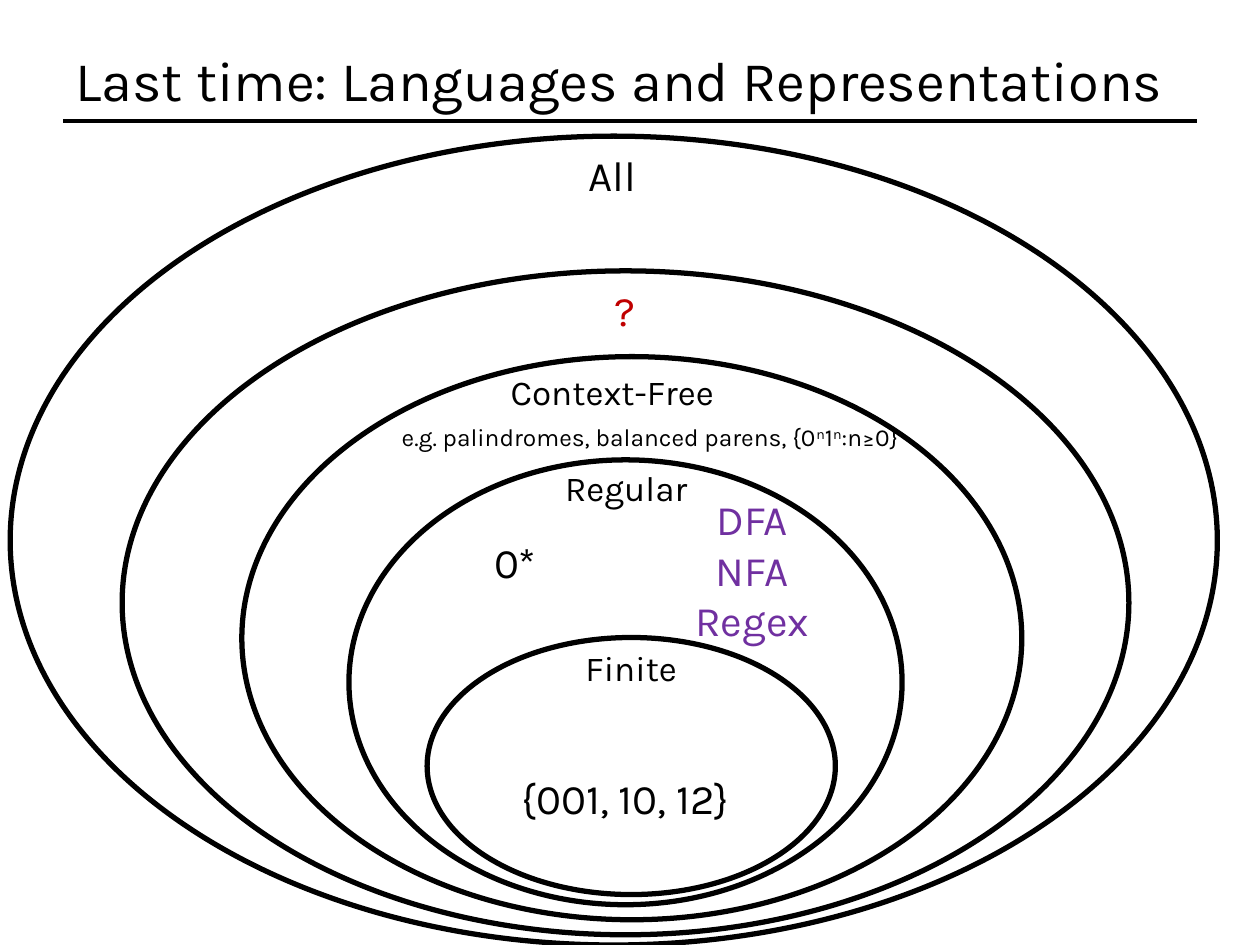
from pptx import Presentation
from pptx.dml.color import RGBColor
from pptx.enum.shapes import MSO_CONNECTOR as Connector, MSO_SHAPE as Shape
from pptx.enum.text import MSO_ANCHOR as Anchor, PP_ALIGN as Align
from pptx.oxml.ns import qn
from pptx.util import Pt
from lxml.etree import SubElement

BLACK, RED, PURPLE = "000000", "C00000", "7030A0"
FONT = "Karla"

LANGUAGE_CLASSES = [
    (5.8, 77.8, 689.8, 462.2),
    (69.8, 154.8, 575.3, 379.4),
    (138.2, 203.8, 445.7, 321.8),
    (199.4, 262.8, 316.1, 254.2),
    (244.1, 364.3, 233.3, 146.9),
]


def color(value):
    return RGBColor.from_string(value)


def add_text(slide, text, box, size=24, fill=BLACK, align=Align.CENTER,
             anchor=Anchor.TOP, wrap=True):
    shape = slide.shapes.add_textbox(*map(Pt, box))
    frame = shape.text_frame
    frame.word_wrap = wrap
    frame.vertical_anchor = anchor
    for index, line in enumerate(text.split("\n")):
        paragraph = frame.paragraphs[0] if index == 0 else frame.add_paragraph()
        paragraph.alignment = align
        for position, part in enumerate(line.split("^")):
            run = paragraph.add_run()
            run.text = part
            run.font.name = FONT
            run.font.size = Pt(size)
            run.font.color.rgb = color(fill)
            if position % 2:
                run._r.get_or_add_rPr().set("baseline", "30000")


def add_ellipse(slide, box):
    shape = slide.shapes.add_shape(Shape.OVAL, *map(Pt, box))
    shape.shadow.inherit = False
    shape.fill.background()
    shape.line.color.rgb = color(BLACK)
    shape.line.width = Pt(3)


def add_rule(slide, left, right, top):
    line = slide.shapes.add_connector(
        Connector.STRAIGHT, Pt(left), Pt(top), Pt(right), Pt(top))
    line.line.color.rgb = color(BLACK)
    line.line.width = Pt(2)
    SubElement(line._element.spPr, qn("a:effectLst"))


def main():
    presentation = Presentation()
    presentation.slide_width = Pt(720)
    presentation.slide_height = Pt(540)
    slide = presentation.slides.add_slide(presentation.slide_layouts[6])

    add_rule(slide, 36, 684, 69.1)
    add_text(slide, "Last time: Languages and Representations",
             (36, 21.6, 648, 47.5), size=32, align=Align.LEFT,
             anchor=Anchor.MIDDLE)

    for box in LANGUAGE_CLASSES:
        add_ellipse(slide, box)

    add_text(slide, "All", (267.8, 82.1, 164.2, 36))
    add_text(slide, "?", (344.2, 159.1, 26.6, 36), fill=RED,
             align=Align.LEFT, wrap=False)
    for name, left, top in [("Context-Free", 218.9, 208.1),
                            ("Regular", 226.8, 262.8),
                            ("Finite", 229.7, 365.8)]:
        add_text(slide, name, (left, top, 262.1, 31.7), size=20)

    add_text(slide, "e.g. palindromes, balanced parens, {0^n^1^n^:n≥0}",
             (222.5, 237.6, 298.1, 24.5), size=14, align=Align.LEFT, wrap=False)
    add_text(slide, "0*", (239, 303.1, 110.9, 36))
    add_text(slide, "DFA\nNFA\nRegex", (374.4, 278.6, 110.9, 94.3), fill=PURPLE)
    add_text(slide, "{001, 10, 12}", (273.6, 437.8, 167.8, 36))

    presentation.save("out.pptx")


if __name__ == "__main__":
    main()
